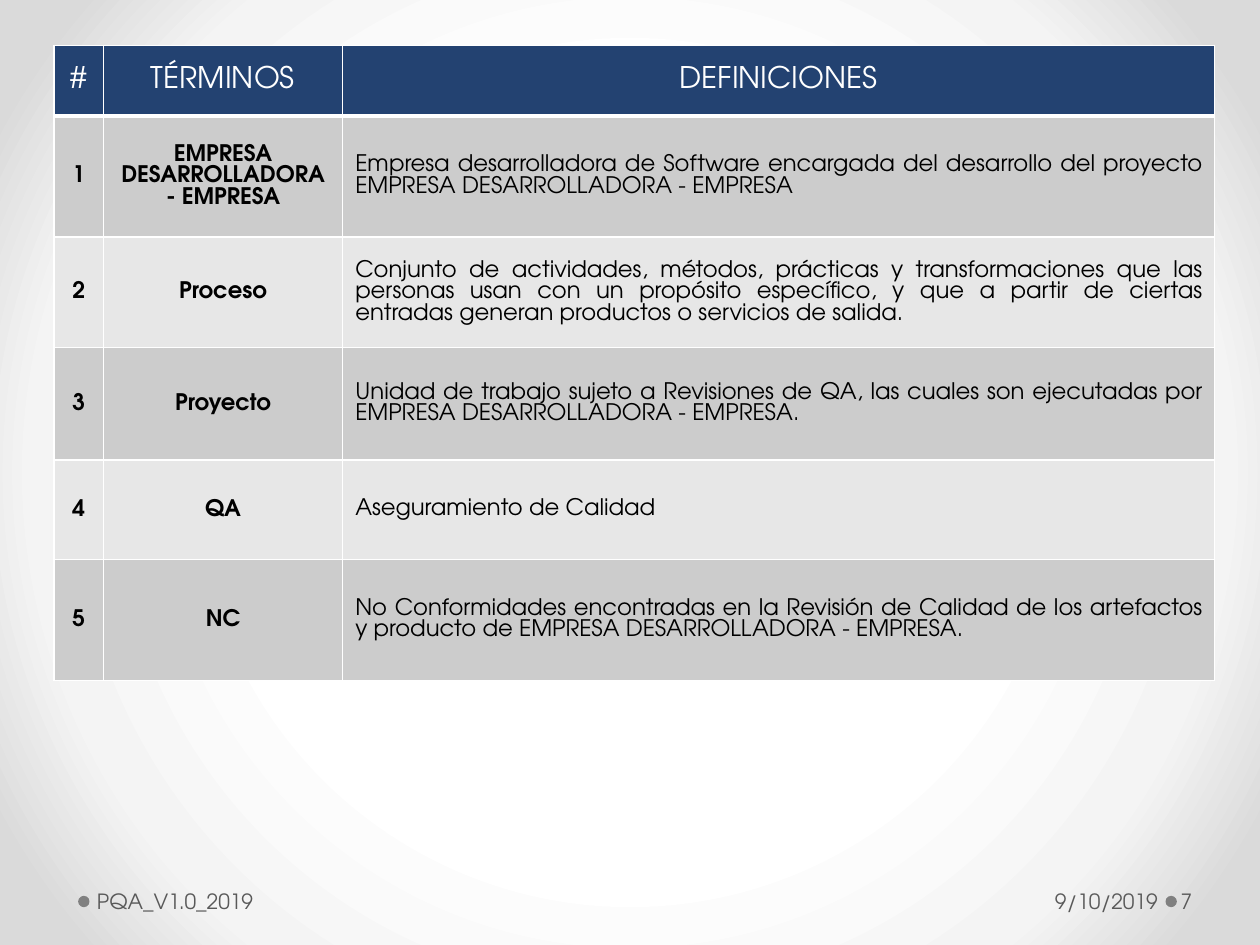
from lxml.etree import SubElement
from pptx import Presentation
from pptx.dml.color import RGBColor
from pptx.enum.shapes import MSO_SHAPE
from pptx.enum.text import MSO_ANCHOR, PP_ALIGN
from pptx.oxml import parse_xml
from pptx.oxml.ns import nsdecls, qn
from pptx.util import Inches, Pt

FONT = "TeX Gyre Adventor"
COLORS = {"header": "234271", "odd": "CCCCCC", "even": "E7E7E7", "white": "FFFFFF",
          "black": "000000", "footer": "595959", "dot": "808080",
          "mid": "F4F4F4", "edge": "DADADA"}
COMPANY = "EMPRESA DESARROLLADORA - EMPRESA"
HEADER = ["#", "TÉRMINOS", "DEFINICIONES"]
TERMS = [
    (COMPANY, "Empresa desarrolladora de Software encargada del desarrollo "
              f"del proyecto {COMPANY}"),
    ("Proceso", "Conjunto de actividades, métodos, prácticas y transformaciones que las "
                "personas usan con un propósito específico, y que a partir de ciertas "
                "entradas generan productos o servicios de salida."),
    ("Proyecto", "Unidad de trabajo sujeto a Revisiones de QA, las cuales son "
                 f"ejecutadas por {COMPANY}."),
    ("QA", "Aseguramiento de Calidad"),
    ("NC", "No Conformidades encontradas en la Revisión de Calidad de los artefactos "
           f"y producto de {COMPANY}."),
]
COL_WIDTHS = [0.39, 1.9, 6.92]
ROW_HEIGHTS = [0.56, 0.96, 0.88, 0.89, 0.79, 0.96]


def rgb(name):
    return RGBColor.from_string(COLORS[name])


def set_background(slide):
    stops = "".join(
        f'<a:gs pos="{pos * 1000}"><a:srgbClr val="{COLORS[name]}"/></a:gs>'
        for pos, name in [(50, "white"), (76, "mid"), (92, "edge")])
    fill = parse_xml(
        f'<a:gradFill {nsdecls("a")} rotWithShape="1"><a:gsLst>{stops}</a:gsLst>'
        '<a:path path="circle"><a:fillToRect l="50000" t="50000" r="50000" b="50000"/>'
        '</a:path></a:gradFill>')
    slide.background.fill.solid()
    bg_pr = slide.background._cSld.find(qn("p:bg")).find(qn("p:bgPr"))
    bg_pr.replace(bg_pr.find(qn("a:solidFill")), fill)


def format_text(p, size, color, align, bold=False):
    p.alignment = align
    for r in p.runs:
        r.font.name = FONT
        r.font.size = Pt(size)
        r.font.bold = bold
        r.font.color.rgb = rgb(color)


def set_borders(cell, bottom):
    tc_pr = cell._tc.get_or_add_tcPr()
    for i, (side, width) in enumerate([("L", 1), ("R", 1), ("T", 1), ("B", bottom)]):
        ln = SubElement(tc_pr, qn(f"a:ln{side}"), w=str(Pt(width)))
        SubElement(SubElement(ln, qn("a:solidFill")), qn("a:srgbClr"), val=COLORS["white"])
        tc_pr.insert(i, ln)


def add_glossary(slide, left, top):
    rows = [HEADER] + [(str(n), *term) for n, term in enumerate(TERMS, 1)]
    table = slide.shapes.add_table(
        len(rows), len(HEADER), Inches(left), Inches(top),
        Inches(sum(COL_WIDTHS)), Inches(sum(ROW_HEIGHTS))).table
    for column, width in zip(table.columns, COL_WIDTHS):
        column.width = Inches(width)
    for i, (row, height) in enumerate(zip(table.rows, ROW_HEIGHTS)):
        row.height = Inches(height)
        for j, cell in enumerate(row.cells):
            cell.text = rows[i][j]
            cell.vertical_anchor = MSO_ANCHOR.MIDDLE
            cell.fill.solid()
            p = cell.text_frame.paragraphs[0]
            if i == 0:
                cell.fill.fore_color.rgb = rgb("header")
                format_text(p, 17, "white", PP_ALIGN.CENTER)
            else:
                cell.fill.fore_color.rgb = rgb("odd" if i % 2 else "even")
                align = PP_ALIGN.JUSTIFY if j == 2 else PP_ALIGN.CENTER
                format_text(p, 13, "black", align, bold=j < 2)
                p.line_spacing = Pt(12.3)
            set_borders(cell, 1 if i else 3)


def add_footer_text(slide, text, left, top, width, align, inset_left, inset_right):
    tf = slide.shapes.add_textbox(
        Inches(left), Inches(top), Inches(width), Inches(0.4)).text_frame
    tf.word_wrap = True
    tf.vertical_anchor = MSO_ANCHOR.MIDDLE
    tf.margin_left, tf.margin_right = Inches(inset_left), Inches(inset_right)
    tf.text = text
    format_text(tf.paragraphs[0], 12, "footer", align)


def add_footer(slide, top):
    for left in (0.62, 9.25):
        dot = slide.shapes.add_shape(
            MSO_SHAPE.OVAL, Inches(left), Inches(top + 0.16), Inches(0.09), Inches(0.09))
        dot.shadow.inherit = False
        dot.fill.solid()
        dot.fill.fore_color.rgb = rgb("dot")
        dot.line.fill.background()
    add_footer_text(slide, "PQA_V1.0_2019", 0.72, top, 3.96, PP_ALIGN.LEFT, 0.05, 0.1)
    add_footer_text(slide, "9/10/2019", 6.96, top, 2.28, PP_ALIGN.RIGHT, 0.1, 0.05)
    add_footer_text(slide, "7", 9.34, top, 0.61, PP_ALIGN.LEFT, 0.03, 0.05)


prs = Presentation()
prs.slide_width, prs.slide_height = Inches(10), Inches(7.5)
slide = prs.slides.add_slide(prs.slide_layouts[6])
set_background(slide)
add_glossary(slide, 0.43, 0.36)
add_footer(slide, 6.95)
prs.save("out.pptx")
